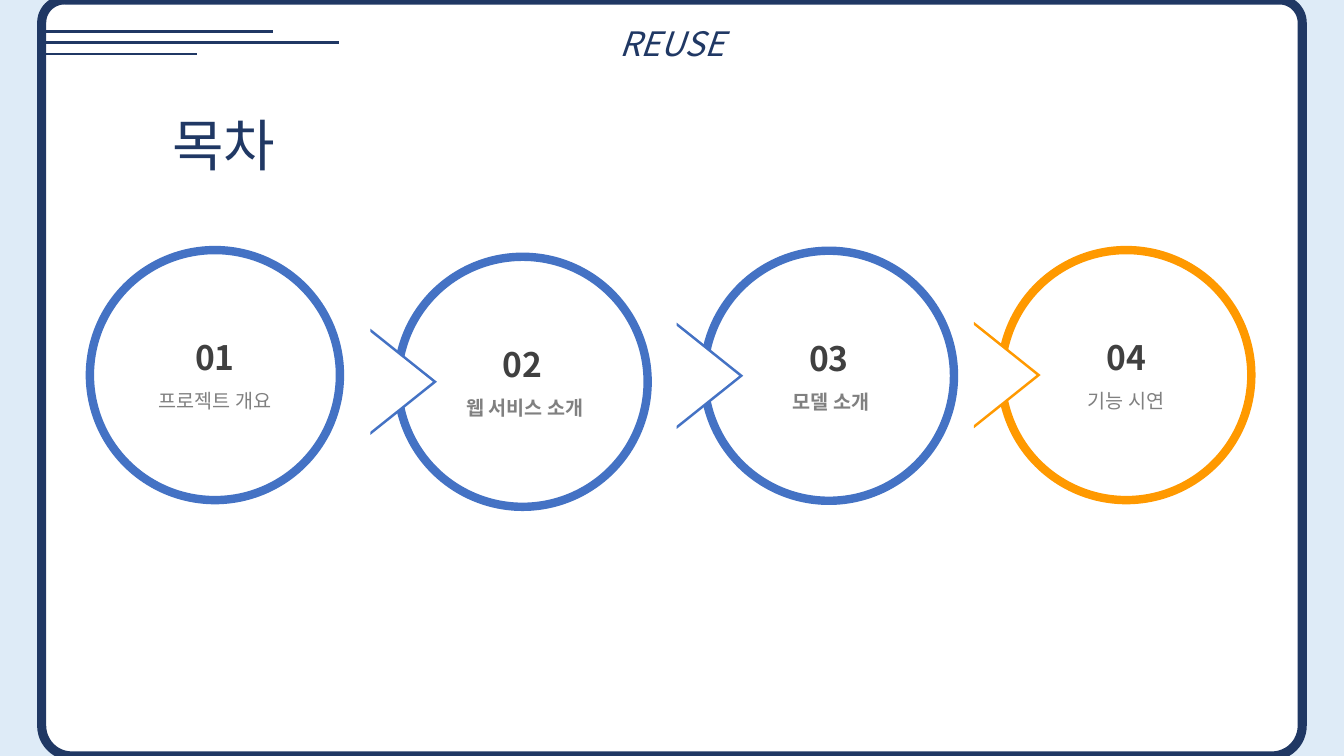
"""Builds the contents slide: a framed page with four numbered circles."""
from lxml.etree import SubElement
from pptx import Presentation
from pptx.dml.color import RGBColor
from pptx.enum.shapes import MSO_CONNECTOR, MSO_SHAPE
from pptx.enum.text import MSO_ANCHOR, MSO_AUTO_SIZE, PP_ALIGN
from pptx.oxml.ns import qn
from pptx.util import Pt

FONT = "Noto Sans CJK KR"
NAVY, BLUE, ORANGE, WHITE = "203864", "4472C4", "FF9900", "FFFFFF"
PALE, DARK, GREY = "DEEBF7", "404040", "808080"

HEADER = "REUSE"
TITLE = "목차"
CHAPTERS = [
    ("01", "프로젝트 개요", False, 64.2, 178.6, BLUE),
    ("02", " 웹 서비스 소개", True, 284, 183.4, BLUE),
    ("03", " 모델 소개", True, 502.8, 179.1, BLUE),
    ("04", "기능 시연", False, 715.2, 178.6, ORANGE),
]
STRIPE_LENGTHS = [165, 212.4, 111]
STRIPE_TOP, STRIPE_GAP = 22.4, 8
FRAME_LEFT, FRAME_WIDTH = 29.8, 900.4
CIRCLE = 178.6
ARROW_BASE, ARROW_HEIGHT = 76, 47.6
ARROW_OFFSET = -36.7


def color(hex_code):
    return RGBColor.from_string(hex_code)


def style_text(paragraph, text, size, hex_code, bold=False, italic=False):
    paragraph.text = text
    for run in paragraph.runs:
        font = run.font
        font.name, font.size, font.bold, font.italic = FONT, Pt(size), bold, italic
        font.color.rgb = color(hex_code)
        SubElement(font._element, qn("a:ea"), typeface=FONT)


def add_panel(slide, preset, left, top, width, height, outline=None, weight=0):
    panel = slide.shapes.add_shape(preset, Pt(left), Pt(top), Pt(width), Pt(height))
    panel.shadow.inherit = False
    panel.fill.solid()
    panel.fill.fore_color.rgb = color(WHITE)
    if outline:
        panel.line.color.rgb = color(outline)
        panel.line.width = Pt(weight)
    else:
        panel.line.fill.background()
    return panel


def add_frame(slide):
    frame = add_panel(slide, MSO_SHAPE.ROUND_2_SAME_RECTANGLE,
                      FRAME_LEFT, 0, FRAME_WIDTH, 540, NAVY, 6.5)
    frame.adjustments[0], frame.adjustments[1] = 0.03, 0.04
    header = frame.text_frame
    header.vertical_anchor = MSO_ANCHOR.TOP
    header.margin_top = Pt(11.5)
    style_text(header.paragraphs[0], HEADER, 24, NAVY, italic=True)
    header.paragraphs[0].alignment = PP_ALIGN.CENTER


def add_stripes(slide):
    stripes = slide.shapes.add_group_shape()
    for row, length in enumerate(STRIPE_LENGTHS):
        y = Pt(STRIPE_TOP + row * STRIPE_GAP)
        stripe = stripes.shapes.add_connector(
            MSO_CONNECTOR.STRAIGHT, Pt(FRAME_LEFT), y, Pt(FRAME_LEFT + length), y)
        stripe.line.color.rgb = color(NAVY)
        stripe.line.width = Pt(1.75)
        SubElement(stripe._element.spPr, qn("a:effectLst"))


def add_title(slide):
    title = slide.shapes.add_textbox(Pt(116), Pt(75.6), Pt(88), Pt(55.4)).text_frame
    title.word_wrap = False
    title.auto_size = MSO_AUTO_SIZE.SHAPE_TO_FIT_TEXT
    style_text(title.paragraphs[0], TITLE, 40, NAVY)


def add_chapter(slide, number, topic, bold, left, top, accent):
    circle = add_panel(slide, MSO_SHAPE.OVAL, left, top, CIRCLE, CIRCLE, accent, 6)
    label = circle.text_frame
    label.vertical_anchor = MSO_ANCHOR.MIDDLE
    style_text(label.paragraphs[0], number, 24, DARK, bold=True)
    topic_line = label.add_paragraph()
    style_text(topic_line, topic, 14, GREY, bold=bold)
    topic_line.line_spacing = 1.5
    for paragraph in label.paragraphs:
        paragraph.alignment = PP_ALIGN.CENTER


def add_arrow(slide, left, top, accent):
    arrow = add_panel(slide, MSO_SHAPE.ISOSCELES_TRIANGLE, left + ARROW_OFFSET,
                      top + (CIRCLE - ARROW_HEIGHT) / 2, ARROW_BASE, ARROW_HEIGHT)
    arrow.rotation = 90
    effects = arrow._element.spPr.find(qn("a:effectLst"))
    edge = SubElement(effects, qn("a:outerShdw"), blurRad="0", dist=str(Pt(3)),
                      dir="0", algn="l", rotWithShape="0")
    SubElement(edge, qn("a:srgbClr"), val=accent)


def main():
    deck = Presentation()
    deck.slide_width, deck.slide_height = Pt(960), Pt(540)
    slide = deck.slides.add_slide(deck.slide_layouts[6])
    slide.background.fill.solid()
    slide.background.fill.fore_color.rgb = color(PALE)
    add_frame(slide)
    add_stripes(slide)
    add_title(slide)
    for position, (number, topic, bold, left, top, accent) in enumerate(CHAPTERS):
        add_chapter(slide, number, topic, bold, left, top, accent)
        if position:
            add_arrow(slide, left, top, accent)
    deck.save("out.pptx")


if __name__ == "__main__":
    main()
